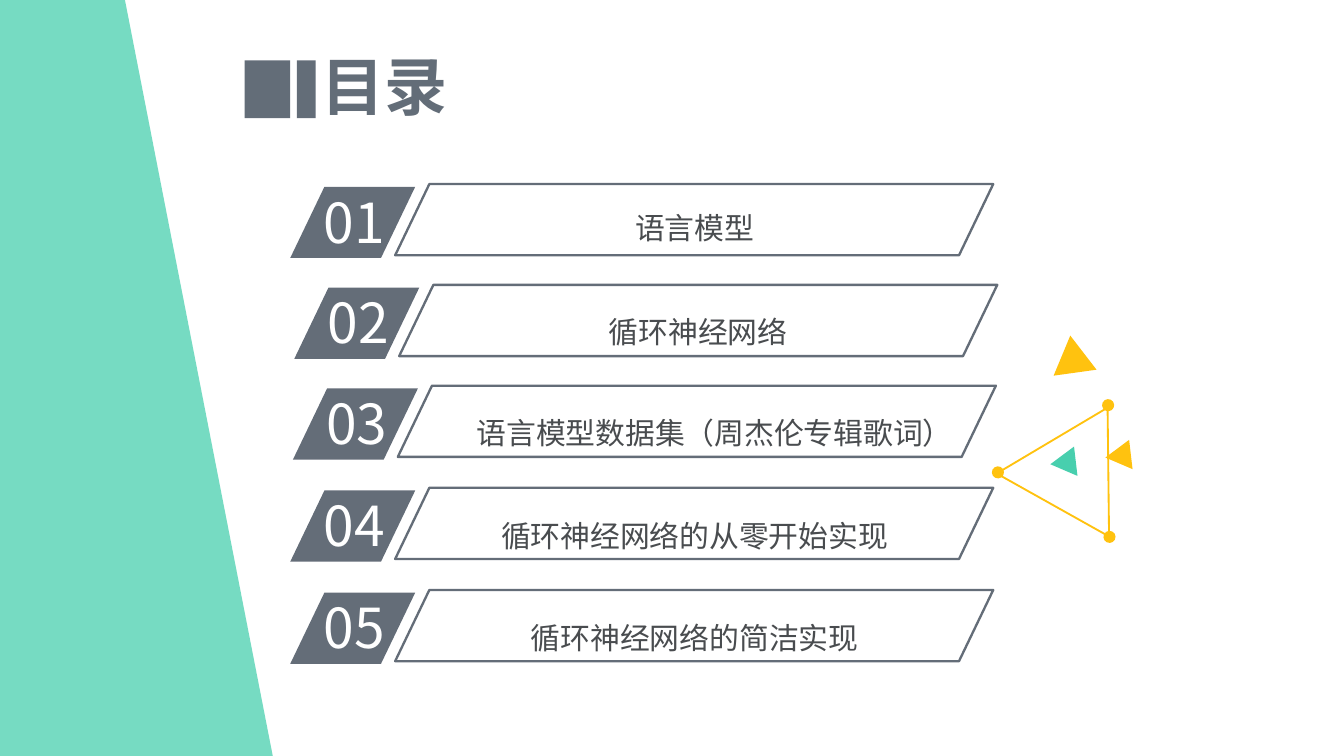
from lxml import etree
from pptx import Presentation
from pptx.dml.color import RGBColor
from pptx.enum.shapes import MSO_SHAPE
from pptx.enum.text import MSO_ANCHOR, MSO_AUTO_SIZE, PP_ALIGN
from pptx.oxml.ns import qn
from pptx.util import Inches, Pt

COLORS = {
    "slate": "636D78",
    "band": "646D78",
    "label": "494C4F",
    "white": "FFFFFF",
    "yellow": "FFC20F",
    "green": "48CFAE",
    "panel": "49CFAE",
}
SANS = "Noto Sans CJK SC"
SERIF = "Times New Roman"

presentation = Presentation()
presentation.slide_width = Inches(10)
presentation.slide_height = Inches(10) * 9 // 16
slide = presentation.slides.add_slide(presentation.slide_layouts[6])


def add_shape(kind, box, fill=None, line=None, width=1, rotation=0):
    shape = slide.shapes.add_shape(kind, *[Inches(value) for value in box])
    shape.shadow.inherit = False
    shape.rotation = rotation
    if fill:
        shape.fill.solid()
        shape.fill.fore_color.rgb = RGBColor.from_string(COLORS[fill])
    else:
        shape.fill.background()
    if line:
        shape.line.color.rgb = RGBColor.from_string(COLORS[line])
        shape.line.width = Pt(width)
    else:
        shape.line.fill.background()
    return shape


def add_text(text, box, size, color, font_name=SANS, align=PP_ALIGN.LEFT):
    text_box = slide.shapes.add_textbox(*[Inches(value) for value in box])
    text_frame = text_box.text_frame
    text_frame.word_wrap = True
    text_frame.text = text
    paragraph = text_frame.paragraphs[0]
    paragraph.alignment = align
    font = paragraph.runs[0].font
    font.size = Pt(size)
    font.name = font_name
    font.color.rgb = RGBColor.from_string(COLORS[color])
    east_asian = etree.SubElement(paragraph.runs[0]._r.get_or_add_rPr(), qn("a:ea"))
    east_asian.set("typeface", SANS)
    return text_frame


triangles = [
    ((7.79, 2.57, 0.32, 0.28), 232.4, "yellow", None),
    ((7.85, 3.37, 0.22, 0.19), 143.3, "green", None),
    ((8.26, 3.32, 0.22, 0.19), 143.3, "yellow", None),
    ((7.56, 3.22, 0.96, 0.83), 149.3, None, "yellow"),
]
for box, rotation, fill, line in triangles:
    add_shape(MSO_SHAPE.ISOSCELES_TRIANGLE, box, fill, line, rotation=rotation)
for left, top in [(8.2, 2.97), (8.21, 3.95), (7.38, 3.47)]:
    add_shape(MSO_SHAPE.OVAL, (left, top, 0.09, 0.09), "yellow", rotation=86)

title_frame = add_text("目录", (1.56, 0.35, 2.6, 0.57), 33.8, "slate", align=PP_ALIGN.CENTER)
title_frame.vertical_anchor = MSO_ANCHOR.MIDDLE
title_frame.paragraphs[0].runs[0].font.bold = True
for left, width in [(2.21, 0.14), (1.82, 0.34)]:
    add_shape(MSO_SHAPE.RECTANGLE, (left, 0.45, width, 0.43), "slate")

chapters = [
    ("语言模型", 2.16, 1.39, (3.54, 1.39, 3.26, 0.43), SERIF),
    ("循环神经网络", 2.19, 2.14, (3.08, 2.16, 4.23, 0.43), SERIF),
    ("语言模型数据集（周杰伦专辑歌词）", 2.18, 2.89, (3.2, 2.91, 4.24, 0.43), SANS),
    ("循环神经网络的从零开始实现", 2.16, 3.65, (3.54, 3.68, 3.26, 0.43), SERIF),
    ("循环神经网络的简洁实现", 2.16, 4.41, (3.54, 4.44, 3.26, 0.43), SERIF),
]
for number, (label, left, top, label_box, font_name) in enumerate(chapters, 1):
    badge = add_shape(MSO_SHAPE.PARALLELOGRAM, (left, top, 0.93, 0.53), "band")
    badge.adjustments[0] = 0.48
    number_frame = add_text(f"{number:02d}", (left + 0.15, top - 0.04, 0.88, 0.6), 29.5, "white")
    number_frame.auto_size = MSO_AUTO_SIZE.SHAPE_TO_FIT_TEXT
    label_frame = add_text(label, label_box, 16, "label", font_name, PP_ALIGN.CENTER)
    label_frame.auto_size = MSO_AUTO_SIZE.SHAPE_TO_FIT_TEXT
    label_frame.margin_left = label_frame.margin_right = Inches(0.08)
    label_frame.margin_top = label_frame.margin_bottom = Inches(0.04)
    label_frame.paragraphs[0].line_spacing = 1.5
    outline = add_shape(
        MSO_SHAPE.PARALLELOGRAM, (left + 0.78, top - 0.02, 4.45, 0.53), line="band", width=1.25
    )
    outline.adjustments[0] = 0.48

builder = slide.shapes.build_freeform(Inches(2.03), presentation.slide_height)
builder.add_line_segments(
    [(Inches(0.93), 0), (0, 0), (0, presentation.slide_height)], close=True
)
panel = builder.convert_to_shape()
panel.shadow.inherit = False
panel.fill.solid()
panel.fill.fore_color.rgb = RGBColor.from_string(COLORS["panel"])
panel.line.fill.background()
panel_color = panel._element.spPr.find(qn("a:solidFill"))[0]
etree.SubElement(panel_color, qn("a:alpha")).set("val", "75000")

presentation.save("out.pptx")
